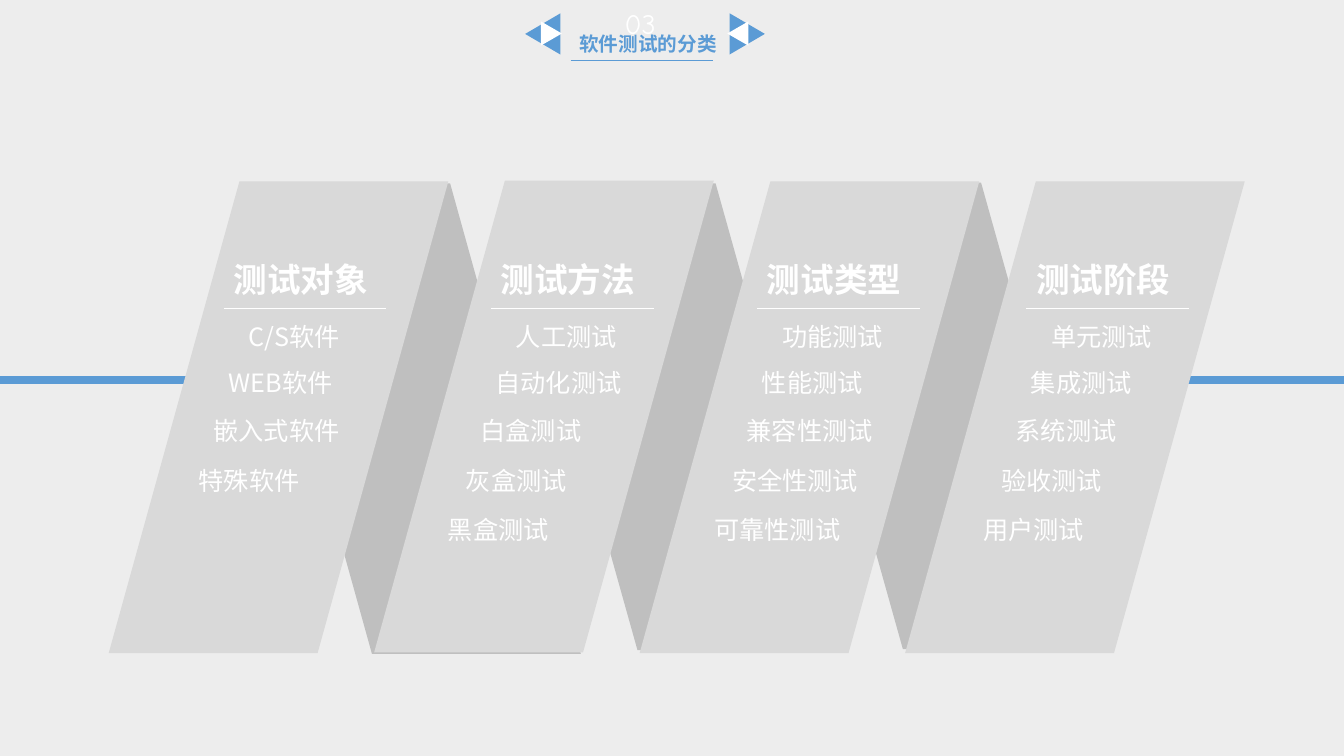
from dataclasses import dataclass

from lxml.etree import SubElement
from pptx import Presentation
from pptx.dml.color import RGBColor
from pptx.enum.shapes import MSO_CONNECTOR, MSO_SHAPE
from pptx.enum.text import MSO_AUTO_SIZE
from pptx.oxml.ns import qn
from pptx.util import Cm, Pt


@dataclass(frozen=True)
class Theme:
    background: str = "EDEDED"
    accent: str = "5B9BD5"
    panel: str = "D9D9D9"
    fold: str = "BFBFBF"
    white: str = "FFFFFF"
    body_font: str = "Noto Sans CJK SC"
    heading_font: str = "Calibri"
    number_font: str = "Comic Neue"
    title_size: float = 14
    number_size: float = 20
    heading_size: float = 24
    item_size: float = 18


class SlideBuilder:
    def __init__(self, slide, theme):
        self.slide = slide
        self.theme = theme
        self.shapes = slide.shapes
        fill = slide.background.fill
        fill.solid()
        fill.fore_color.rgb = RGBColor.from_string(theme.background)

    def start_group(self):
        self.shapes = self.slide.shapes.add_group_shape().shapes

    def end_group(self):
        self.shapes = self.slide.shapes

    def shape(self, kind, left, top, width, height, color, rotation=0):
        shape = self.shapes.add_shape(kind, Cm(left), Cm(top), Cm(width), Cm(height))
        shape.shadow.inherit = False
        shape.fill.solid()
        shape.fill.fore_color.rgb = RGBColor.from_string(color)
        shape.line.fill.background()
        shape.rotation = rotation
        return shape

    def parallelogram(self, left, top, height, color, mirrored=False):
        shape = self.shape(MSO_SHAPE.PARALLELOGRAM, left, top, PANEL_WIDTH, height, color)
        shape.adjustments[0] = 0.385
        if mirrored:
            shape._element.spPr.xfrm.set("flipH", "1")

    def line(self, left, right, height, color, weight):
        line = self.shapes.add_connector(
            MSO_CONNECTOR.STRAIGHT, Cm(left), Cm(height), Cm(right), Cm(height))
        line.line.color.rgb = RGBColor.from_string(color)
        line.line.width = Pt(weight)
        SubElement(line._element.spPr, qn("a:effectLst"))

    def text(self, text, left, top, width, height, size, font, color, bold=False, wrap=True):
        box = self.shapes.add_textbox(Cm(left), Cm(top), Cm(width), Cm(height))
        frame = box.text_frame
        frame.word_wrap = wrap
        frame.auto_size = MSO_AUTO_SIZE.SHAPE_TO_FIT_TEXT
        frame.text = text
        span = frame.paragraphs[0].runs[0]
        span.font.size = Pt(size)
        span.font.bold = bold
        span.font.name = font
        span.font.color.rgb = RGBColor.from_string(color)
        east_asian = SubElement(span.font._element, qn("a:ea"))
        east_asian.set("typeface", self.theme.body_font)

    def category(self, left, top, heading_left, heading, items):
        theme = self.theme
        self.start_group()
        self.parallelogram(left, top, 11.89, theme.panel)
        self.text(heading, heading_left, 6.4, 3.96, 1.27, theme.heading_size,
                  theme.heading_font, theme.white, bold=True, wrap=False)
        self.line(heading_left, heading_left + 4.1, 7.77, theme.white, 1)
        for item, (indent, item_top) in zip(items, ITEM_OFFSETS):
            width = 3.61 if len(item) < 5 else 3.9
            self.text(item, heading_left + indent, item_top, width, 1.02,
                      theme.item_size, theme.body_font, theme.white)
        self.end_group()

    def arrow(self, left, inner_left, rotation):
        self.start_group()
        self.shape(MSO_SHAPE.ISOSCELES_TRIANGLE, left, 0.41, 1.04, 0.89,
                   self.theme.accent, rotation)
        self.shape(MSO_SHAPE.ISOSCELES_TRIANGLE, inner_left, 0.58, 0.61, 0.53,
                   self.theme.white, (rotation + 180) % 360)
        self.end_group()


SLIDE_WIDTH, SLIDE_HEIGHT = 33.87, 19.05
PANEL_WIDTH = 8.56
PANEL_LEFT = 2.74
FOLD_LEFT = 6.08
PANEL_STEP = 6.69
FOLDS = [(4.62, 11.86), (4.62, 11.76), (4.6, 11.76)]
ITEM_OFFSETS = [(0.38, 7.98), (-0.13, 9.14), (-0.51, 10.34), (-0.88, 11.61), (-1.33, 12.83)]
CATEGORIES = [
    (4.57, 5.64, "测试对象", ["C/S软件", "WEB软件", "嵌入式软件", "特殊软件"]),
    (4.55, 12.37, "测试方法", ["人工测试", "自动化测试", "白盒测试", "灰盒测试", "黑盒测试"]),
    (4.57, 19.08, "测试类型", ["功能测试", "性能测试", "兼容性测试", "安全性测试", "可靠性测试"]),
    (4.57, 25.86, "测试阶段", ["单元测试", "集成测试", "系统测试", "验收测试", "用户测试"]),
]


def main():
    theme = Theme()
    deck = Presentation()
    deck.slide_width, deck.slide_height = Cm(SLIDE_WIDTH), Cm(SLIDE_HEIGHT)
    page = SlideBuilder(deck.slides.add_slide(deck.slide_layouts[6]), theme)

    page.line(29.85, SLIDE_WIDTH, 9.58, theme.accent, 6)
    page.line(0, 4.83, 9.58, theme.accent, 6)
    for index, (top, height) in reversed(list(enumerate(FOLDS))):
        page.parallelogram(FOLD_LEFT + index * PANEL_STEP, top, height, theme.fold, mirrored=True)
    for index, (top, heading_left, heading, items) in reversed(list(enumerate(CATEGORIES))):
        page.category(PANEL_LEFT + index * PANEL_STEP, top, heading_left, heading, items)

    page.arrow(13.16, 13.59, 270)
    page.arrow(18.31, 18.29, 90)
    page.line(14.38, 17.98, 1.52, theme.accent, 0.5)
    page.text("软件测试的分类", 14.35, 0.69, 4.14, 0.86, theme.title_size,
              theme.body_font, theme.accent, bold=True, wrap=False)
    page.text("03", 15.49, 0.05, 1.91, 1.12, theme.number_size,
              theme.number_font, theme.white)
    deck.save("out.pptx")


if __name__ == "__main__":
    main()
